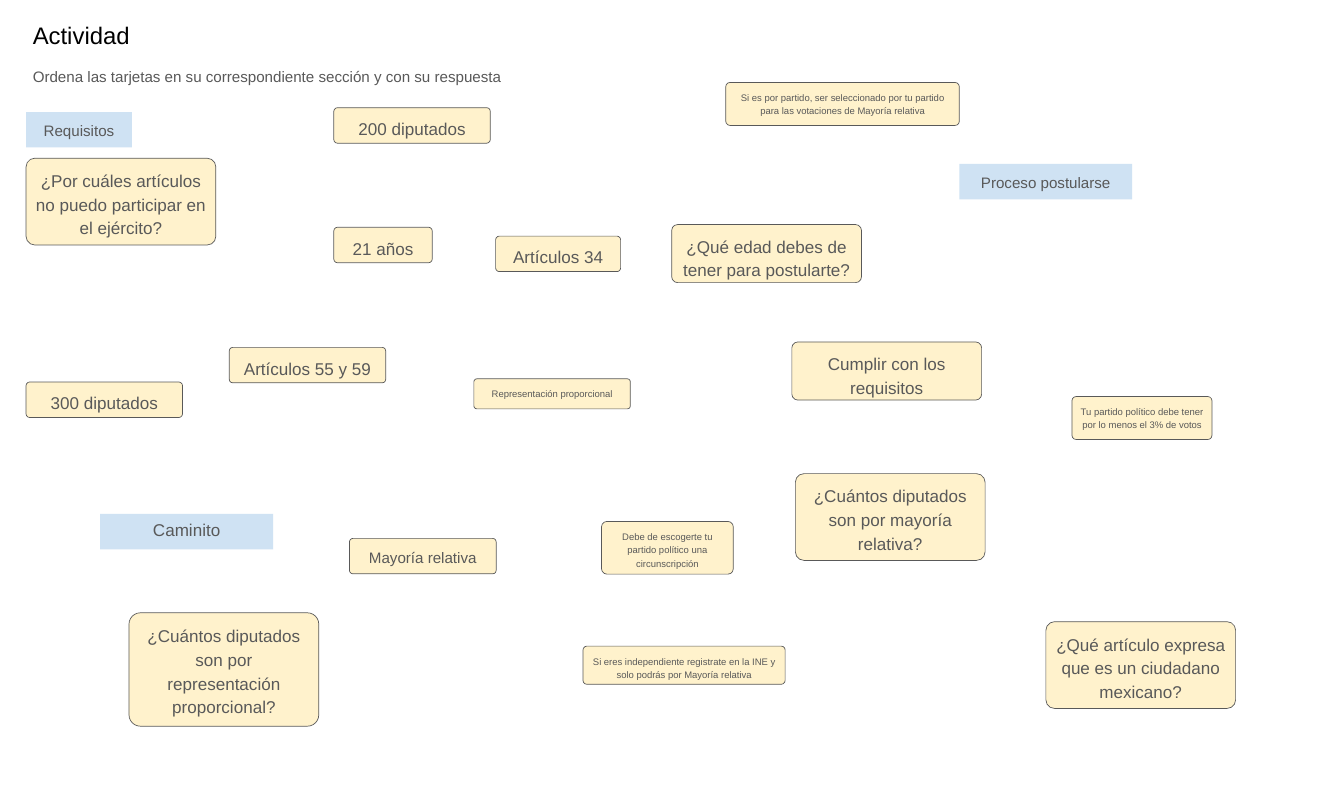
"""Builds the "Actividad" slide: cards to sort into their sections."""

from dataclasses import dataclass

import pptx
import pptx.dml.color
import pptx.enum.shapes
import pptx.enum.text
import pptx.presentation
import pptx.shapes.autoshape
import pptx.slide
import pptx.util

Cm = pptx.util.Cm
Pt = pptx.util.Pt

COLORS = {
    "title": "000000",
    "text": "595959",
    "section": "CFE2F3",
    "card": "FFF2CC",
}
FONT = "Arial"
INSET = 0.25
LINE_HEIGHT = 1.32
WIDE = 7.06
MEDIUM = 5.82
SECTION_WIDTH = 6.43
TWO_LINES = 2.16
THREE_LINES = 3.23


@dataclass(frozen=True)
class Section:
    """A blue heading that gathers cards."""

    text: str
    left: float
    top: float
    width: float = SECTION_WIDTH
    size: float = 16
    spacing: float = 1.15


@dataclass(frozen=True)
class Card:
    """A yellow card with a question or an answer."""

    text: str
    left: float
    top: float
    width: float = WIDE
    height: float = LINE_HEIGHT
    size: float = 18


SECTIONS = [
    Section("Requisitos", 0.97, 4.17, width=3.94),
    Section("Proceso postularse", 35.69, 6.1),
    Section("Caminito", 3.73, 19.13, size=18, spacing=0.95),
]

QUESTIONS = [
    Card("¿Por cuáles artículos no puedo participar en el ejército?",
         0.97, 5.89, height=THREE_LINES),
    Card("¿Qué artículo expresa que es un ciudadano mexicano?",
         38.91, 23.14, height=THREE_LINES),
    Card("¿Qué edad debes de tener para postularte?",
         24.99, 8.36, height=TWO_LINES),
    Card("¿Cuántos diputados son por mayoría relativa?",
         29.59, 17.63, height=THREE_LINES),
    Card("¿Cuántos diputados son por representación proporcional?",
         4.8, 22.81, height=4.22),
]

ANSWERS = [
    Card("Artículos 55 y 59", 8.53, 12.93, MEDIUM),
    Card("Artículos 34", 18.44, 8.79, 4.65),
    Card("21 años", 12.42, 8.46, 3.66),
    Card("300 diputados", 0.97, 14.22, MEDIUM),
    Card("200 diputados", 12.42, 4.01, MEDIUM),
]

STEPS = [
    Card("Cumplir con los requisitos", 29.46, 12.73, height=TWO_LINES),
    Card("Si eres independiente registrate en la INE y solo podrás por Mayoría relativa",
         21.69, 24.05, 7.52, 1.42, 10),
    Card("Si es por partido, ser seleccionado por tu partido para las votaciones de Mayoría relativa",
         27, 3.07, 8.69, 1.6, 10),
    Card("Mayoría relativa", 13, 20.04, 5.46, size=16),
    Card("Debe de escogerte tu partido político una circunscripción",
         22.38, 19.41, 4.9, 1.96, 10),
    Card("Representación proporcional", 17.63, 14.1, MEDIUM, 1.12, 10),
    Card("Tu partido político debe tener por lo menos el 3% de votos",
         39.88, 14.76, 5.21, 1.6, 10),
]


def rgb(name: str) -> pptx.dml.color.RGBColor:
    """Return the named colour."""
    return pptx.dml.color.RGBColor.from_string(COLORS[name])


def write_text(shape: pptx.shapes.autoshape.Shape, text: str, *, size: float,
               color: str = "text", spacing: float = 1.15,
               centered: bool = True) -> None:
    """Write one formatted paragraph into a shape."""
    frame = shape.text_frame
    frame.word_wrap = True
    frame.auto_size = pptx.enum.text.MSO_AUTO_SIZE.NONE
    frame.vertical_anchor = pptx.enum.text.MSO_ANCHOR.TOP
    frame.margin_left = frame.margin_right = Cm(INSET)
    frame.margin_top = frame.margin_bottom = Cm(INSET)
    paragraph = frame.paragraphs[0]
    align = pptx.enum.text.PP_ALIGN
    paragraph.alignment = align.CENTER if centered else align.LEFT
    paragraph.line_spacing = spacing
    paragraph.space_after = Pt(12)
    run = paragraph.add_run()
    run.text = text
    run.font.name = FONT
    run.font.size = Pt(size)
    run.font.color.rgb = rgb(color)


def draw_section(slide: pptx.slide.Slide, section: Section) -> None:
    """Draw a section heading."""
    heading = slide.shapes.add_shape(
        pptx.enum.shapes.MSO_SHAPE.RECTANGLE, Cm(section.left), Cm(section.top),
        Cm(section.width), Cm(LINE_HEIGHT))
    heading.shadow.inherit = False
    heading.fill.solid()
    heading.fill.fore_color.rgb = rgb("section")
    heading.line.fill.background()
    write_text(heading, section.text, size=section.size, spacing=section.spacing)


def draw_card(slide: pptx.slide.Slide, card: Card) -> None:
    """Draw a rounded card."""
    tile = slide.shapes.add_shape(
        pptx.enum.shapes.MSO_SHAPE.ROUNDED_RECTANGLE, Cm(card.left), Cm(card.top),
        Cm(card.width), Cm(card.height))
    tile.adjustments[0] = 0.1
    tile.shadow.inherit = False
    tile.fill.solid()
    tile.fill.fore_color.rgb = rgb("card")
    tile.line.color.rgb = rgb("text")
    tile.line.width = Pt(0.75)
    write_text(tile, card.text, size=card.size)


def main() -> None:
    """Build and save the slide."""
    presentation = pptx.Presentation()
    presentation.slide_width = Cm(50)
    presentation.slide_height = Cm(30)
    slide = presentation.slides.add_slide(presentation.slide_layouts[6])

    title = slide.shapes.add_textbox(Cm(0.97), Cm(0.53), Cm(4.32), Cm(1.6))
    write_text(title, "Actividad", size=25.2, color="title", spacing=1,
               centered=False)
    instruction = slide.shapes.add_textbox(Cm(0.97), Cm(2.16), Cm(18.47), Cm(1.45))
    write_text(instruction,
               "Ordena las tarjetas en su correspondiente sección y con su respuesta",
               size=16, centered=False)

    for section in SECTIONS:
        draw_section(slide, section)
    for card in QUESTIONS + ANSWERS + STEPS:
        draw_card(slide, card)

    presentation.save("out.pptx")


if __name__ == "__main__":
    main()
